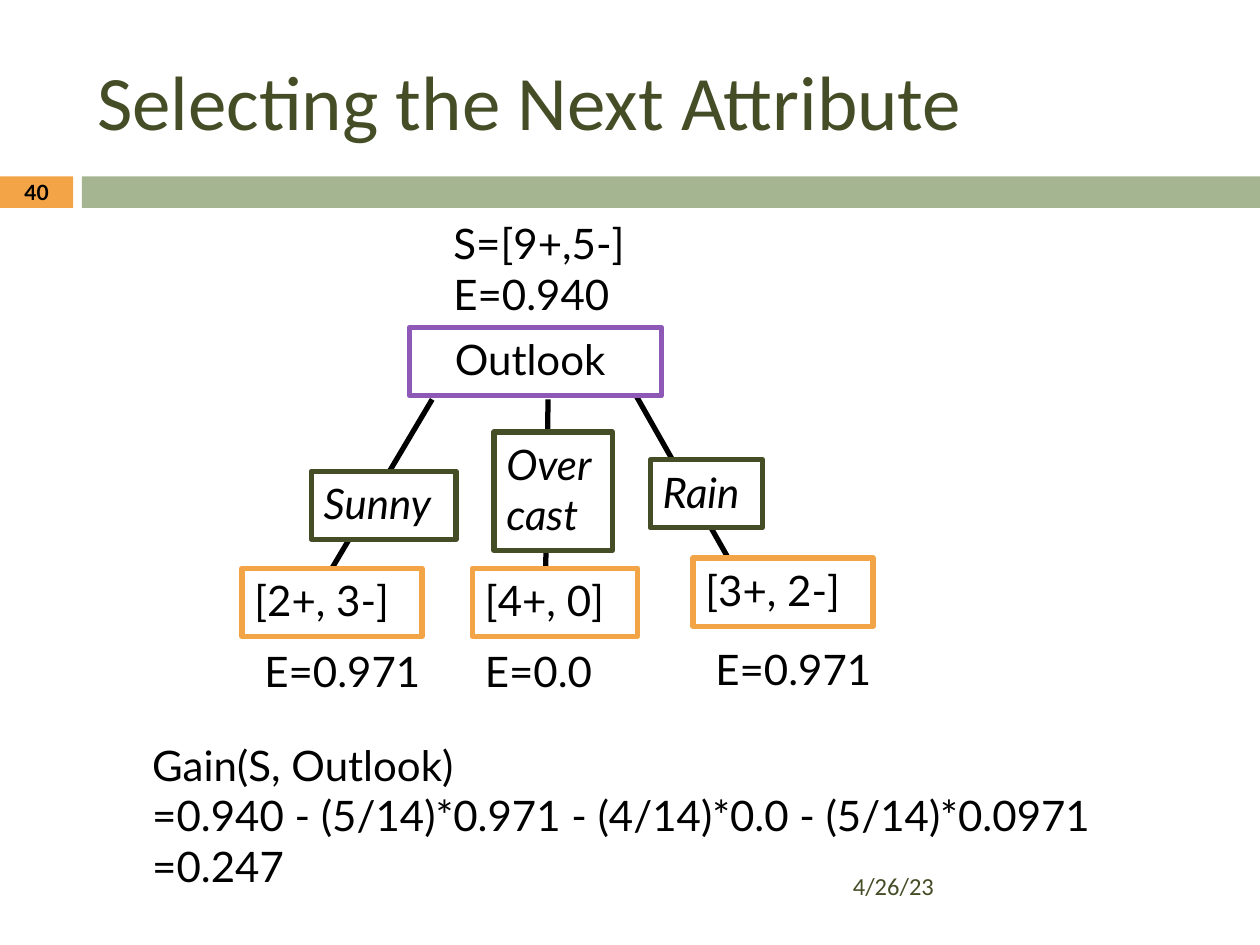
from dataclasses import dataclass

from lxml import etree
from pptx import Presentation
from pptx.dml.color import RGBColor
from pptx.enum.shapes import MSO_CONNECTOR, MSO_SHAPE
from pptx.enum.text import MSO_ANCHOR, MSO_AUTO_SIZE, PP_ALIGN
from pptx.oxml.ns import qn
from pptx.util import Inches, Pt

RECT = MSO_SHAPE.RECTANGLE
LINE = MSO_CONNECTOR.STRAIGHT
TOP, MIDDLE = MSO_ANCHOR.TOP, MSO_ANCHOR.MIDDLE
LEFT, CENTER = PP_ALIGN.LEFT, PP_ALIGN.CENTER
FIXED = MSO_AUTO_SIZE.NONE


@dataclass(frozen=True)
class Theme:
    black: RGBColor = RGBColor.from_string("000000")
    white: RGBColor = RGBColor.from_string("FFFFFF")
    olive: RGBColor = RGBColor.from_string("444D26")
    sage: RGBColor = RGBColor.from_string("A5B592")
    orange: RGBColor = RGBColor.from_string("F3A447")
    purple: RGBColor = RGBColor.from_string("8E58B6")
    head: str = "Calibri"
    body: str = "Lato"
    title: int = 44
    text: int = 24
    date: int = 14
    number: int = 12
    stroke: int = 3


THEME = Theme()


def write(shape, text, size=THEME.text, color=THEME.black, face=THEME.body,
          align=LEFT, anchor=TOP, bold=False, italic=False, spacing=None):
    """Fill a shape with one paragraph per line of text."""
    frame = shape.text_frame
    frame.text = text
    frame.word_wrap = True
    frame.auto_size = FIXED
    frame.vertical_anchor = anchor
    for para in frame.paragraphs:
        para.alignment = align
        if spacing:
            para.line_spacing = spacing
        font = para.font
        font.name, font.size = face, Pt(size)
        font.color.rgb = color
        font.bold, font.italic = bold, italic


def add_title(slide, text):
    title = slide.shapes.title
    title.left, title.top = Inches(0.67), Inches(0.25)
    title.width, title.height = Inches(8.92), Inches(1.08)
    write(title, text, THEME.title, THEME.olive, THEME.head, anchor=MIDDLE)


def add_rect(slide, area, fill):
    rect = slide.shapes.add_shape(RECT, *map(Inches, area))
    rect.shadow.inherit = False
    rect.fill.solid()
    rect.fill.fore_color.rgb = fill
    rect.line.fill.background()
    return rect


def add_node(slide, text, area, color, italic=False):
    node = add_rect(slide, area, THEME.white)
    node.line.color.rgb = color
    node.line.width = Pt(THEME.stroke)
    write(node, text, italic=italic)
    return node


def add_label(slide, text, area, **style):
    label = slide.shapes.add_textbox(*map(Inches, area))
    write(label, text, **style)
    return label


def add_branch(slide, start, end):
    branch = slide.shapes.add_connector(LINE, *map(Inches, start + end))
    branch.line.color.rgb = THEME.black
    branch.line.width = Pt(THEME.stroke)
    etree.SubElement(branch._element.spPr, qn("a:effectLst"))
    return branch


def add_tree(slide):
    sunny = add_branch(slide, (3.43, 3.17), (2.61, 4.51))
    add_branch(slide, (5.02, 3.09), (5.78, 4.43))
    add_branch(slide, (4.35, 3.17), (4.33, 4.6))

    root = add_node(slide, "Outlook", (3.25, 2.6, 2, 0.54), THEME.purple)
    root.text_frame.margin_left = Inches(0.36)
    for text, area in (
        ("Sunny", (2.47, 3.74, 1.15, 0.54)),
        ("Over\ncast", (3.92, 3.43, 0.94, 0.94)),
        ("Rain", (5.16, 3.65, 0.89, 0.54)),
    ):
        add_node(slide, text, area, THEME.olive, italic=True)

    leaves = [
        add_node(slide, text, (left, top, width, 0.54), THEME.orange)
        for text, left, top, width in (
            ("[2+, 3-]", 1.92, 4.51, 1.43),
            ("[4+, 0]", 3.75, 4.51, 1.31),
            ("[3+, 2-]", 5.5, 4.43, 1.43),
        )
    ]
    sunny.end_connect(leaves[0], 0)


def add_values(slide):
    add_label(slide, "S=[9+,5-]\nE=0.940", (3.5, 1.68, 1.72, 0.9))
    add_label(slide, "E=0.971", (2, 5.18, 1.5, 0.38), spacing=0.7)
    add_label(slide, "E=0.0", (3.75, 5.18, 1.5, 0.38), spacing=0.7)
    add_label(slide, "E=0.971", (5.58, 5.06, 1.5, 0.5))
    gain = ("Gain(S, Outlook)\n"
            "=0.940 - (5/14)*0.971 - (4/14)*0.0 - (5/14)*0.0971\n"
            "=0.247")
    add_label(slide, gain, (1.11, 5.82, 8.58, 1.31))


def add_footer(slide):
    add_label(slide, "40", (0, 1.39, 0.58, 0.27), size=THEME.number,
              align=CENTER, anchor=MIDDLE, bold=True)
    add_label(slide, "4/26/23", (6.67, 6.83, 2.92, 0.4), size=THEME.date,
              color=THEME.olive, face=THEME.head, anchor=MIDDLE)


def main():
    deck = Presentation()
    deck.slide_width, deck.slide_height = Inches(10), Inches(7.5)
    slide = deck.slides.add_slide(deck.slide_layouts[5])
    add_rect(slide, (0, 1.4, 0.58, 0.25), THEME.orange)
    add_rect(slide, (0.65, 1.4, 9.35, 0.25), THEME.sage)
    add_title(slide, "Selecting the Next Attribute")
    add_tree(slide)
    add_values(slide)
    add_footer(slide)
    deck.save("out.pptx")


if __name__ == "__main__":
    main()
